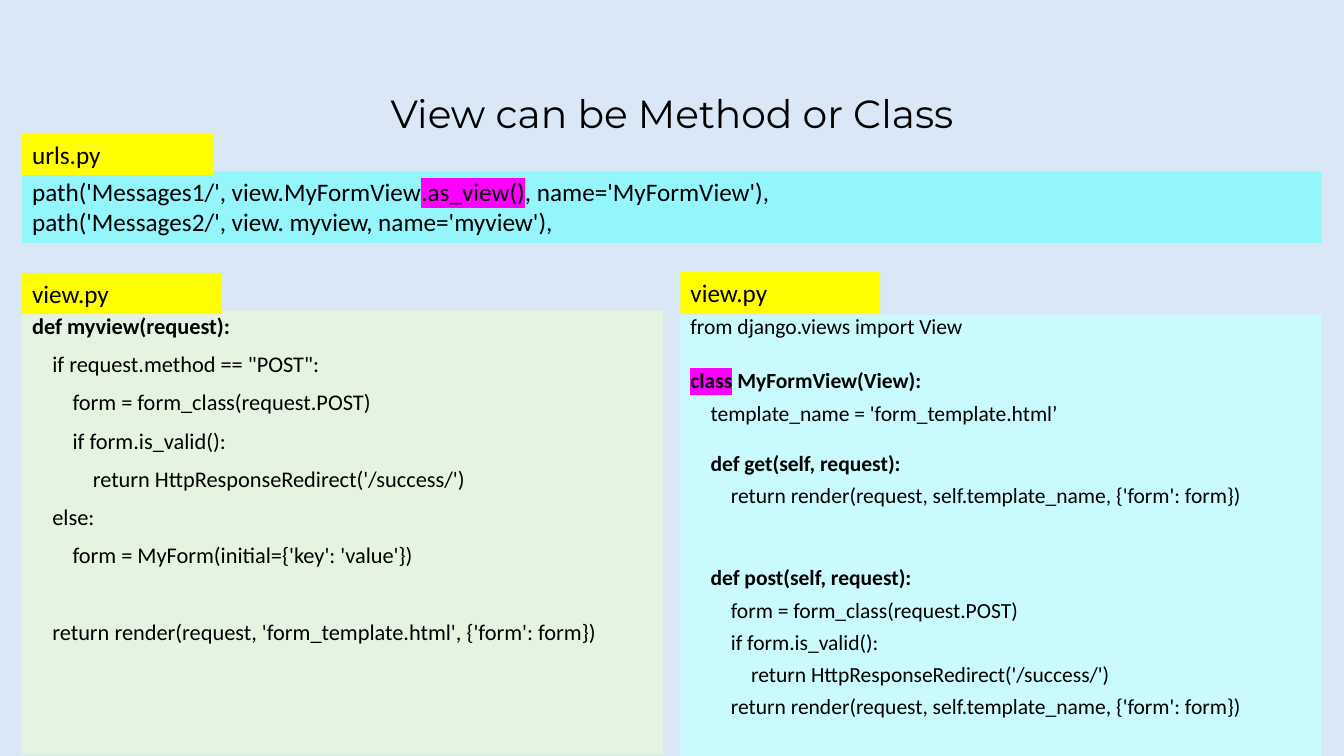
from lxml.etree import SubElement
from pptx import Presentation
from pptx.dml.color import RGBColor
from pptx.enum.shapes import MSO_SHAPE as Shape
from pptx.enum.text import MSO_ANCHOR as Anchor, MSO_AUTO_SIZE as AutoSize, PP_ALIGN as Align
from pptx.oxml.ns import qn
from pptx.util import Cm, Pt

COLORS = {
    "background": "D9E7F7",
    "text": "000000",
    "label": "FFFF00",
    "urls": "94F5FA",
    "function": "E5F4E0",
    "class": "C9FAFC",
    "marker": "FF00FF",
}
LEFT, RIGHT = 0.56, 17.15
PANEL_WIDTH, PANEL_HEIGHT = 16.15, 11.2
INDENT = 0.51

# Each code line: indent level, space before, runs as (text, style)
URL_LINES = [
    (0, 0, [("path('Messages1/', view.MyFormView", ""), (".as_view()", "mark"),
            (", name='MyFormView'),", "")]),
    (0, 0, [("path('Messages2/', view. myview, name='myview'),", "")]),
]
FUNCTION_LINES = [
    (0, 0, [("def myview(request):", "bold")]),
    (1, 10, [('if request.method == "POST":', "")]),
    (2, 10, [("form = form_class(request.POST)", "")]),
    (2, 10, [("if form.is_valid():", "")]),
    (3, 10, [("return HttpResponseRedirect('/success/')", "")]),
    (1, 10, [("else:", "")]),
    (2, 10, [("form = MyForm(initial={'key': 'value'})", "")]),
    (1, 37.5, [("return render(request, 'form_template.html', {'form': form})", "")]),
]
CLASS_LINES = [
    (0, 0, [("from django.views import View", "")]),
    (0, 26, [("class", "bold mark"), (" MyFormView(View):", "bold")]),
    (1, 10, [("template_name = 'form_template.html’", "")]),
    (1, 23, [("def get(self, request):", "bold")]),
    (2, 10, [("return render(request, self.template_name, {'form': form})", "")]),
    (1, 46, [("def post(self, request):", "bold")]),
    (2, 10, [("form = form_class(request.POST)", "")]),
    (2, 10, [("if form.is_valid():", "")]),
    (3, 10, [("return HttpResponseRedirect('/success/')", "")]),
    (2, 10, [("return render(request, self.template_name, {'form': form})", "")]),
]


def color(name):
    return RGBColor.from_string(COLORS[name])


def add_text(paragraph, text, size=18, font="Calibri", bold=False, highlight=None):
    run = paragraph.add_run()
    run.text = text
    run.font.size = Pt(size)
    run.font.bold = bold
    run.font.color.rgb = color("text")
    if highlight:
        marker = SubElement(run.font._element, qn("a:highlight"))
        SubElement(marker, qn("a:srgbClr"), val=COLORS[highlight])
    run.font.name = font


def add_code_box(slide, left, top, width, height, fill, lines, size=18, spacing=1.0):
    shape = slide.shapes.add_shape(Shape.RECTANGLE, Cm(left), Cm(top), Cm(width), Cm(height))
    shape.shadow.inherit = False
    shape.fill.solid()
    shape.fill.fore_color.rgb = color(fill)
    shape.line.fill.background()
    frame = shape.text_frame
    frame.word_wrap = True
    frame.vertical_anchor = Anchor.TOP
    for index, (level, space, runs) in enumerate(lines):
        paragraph = frame.add_paragraph() if index else frame.paragraphs[0]
        paragraph.alignment = Align.LEFT
        paragraph.line_spacing = spacing
        paragraph.space_before = Pt(space)
        paragraph._p.get_or_add_pPr().set("marL", str(Cm(level * INDENT)))
        for text, style in runs:
            add_text(paragraph, text, size=size, bold="bold" in style,
                     highlight="marker" if "mark" in style else None)


def add_label(slide, left, top, width, text):
    add_code_box(slide, left, top, width, 1.03, "label", [(0, 0, [(text, "")])])


def set_title(slide, text):
    title = slide.shapes.title
    title.left, title.top, title.width, title.height = Cm(2.33), Cm(2.16), Cm(29.21), Cm(1.52)
    frame = title.text_frame
    frame.auto_size = AutoSize.NONE
    frame.vertical_anchor = Anchor.MIDDLE
    paragraph = frame.paragraphs[0]
    paragraph.alignment = Align.CENTER
    paragraph.line_spacing = 0.9
    add_text(paragraph, text, size=28, font="Montserrat")


def main():
    presentation = Presentation()
    presentation.slide_width, presentation.slide_height = Cm(33.87), Cm(19.05)
    slide = presentation.slides.add_slide(presentation.slide_layouts[5])
    slide.background.fill.solid()
    slide.background.fill.fore_color.rgb = color("background")
    set_title(slide, "View can be Method or Class")

    # Function view and class view
    add_code_box(slide, LEFT, 7.82, PANEL_WIDTH, PANEL_HEIGHT, "function",
                 FUNCTION_LINES, size=16, spacing=0.9)
    add_code_box(slide, RIGHT, 7.94, PANEL_WIDTH, PANEL_HEIGHT, "class",
                 CLASS_LINES, size=15.4, spacing=0.7)

    # URL patterns
    add_code_box(slide, LEFT, 4.32, RIGHT + PANEL_WIDTH - LEFT, 1.8, "urls", URL_LINES)

    # File names
    add_label(slide, LEFT, 3.38, 4.83, "urls.py")
    add_label(slide, LEFT, 6.88, 5.03, "view.py")
    add_label(slide, RIGHT, 6.86, 5.03, "view.py")

    presentation.save("out.pptx")


if __name__ == "__main__":
    main()
